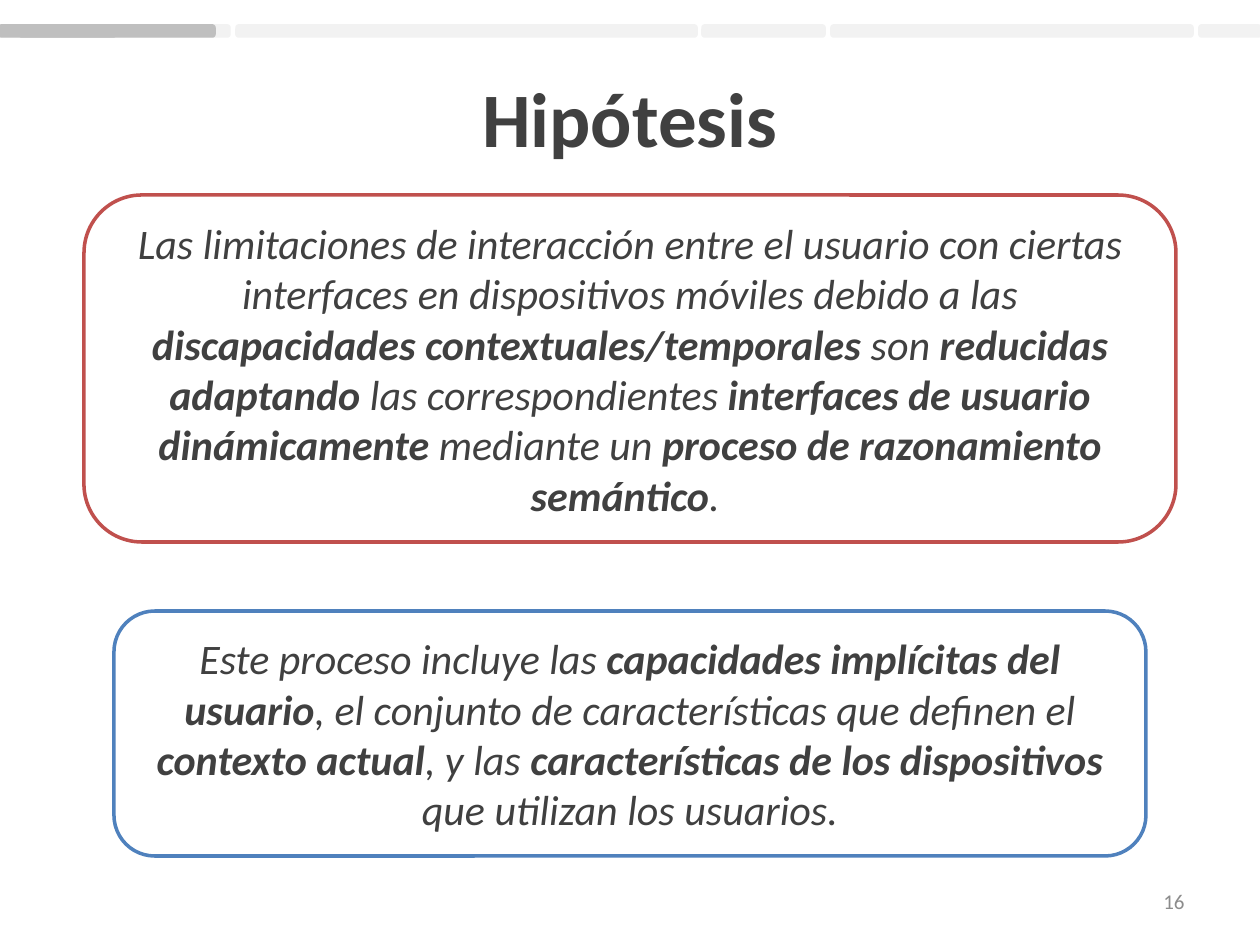
import dataclasses

import pptx
import pptx.dml.color
import pptx.enum.shapes
import pptx.enum.text
import pptx.util

RGB = pptx.dml.color.RGBColor.from_string
ALIGN = pptx.enum.text.PP_ALIGN
MIDDLE = pptx.enum.text.MSO_ANCHOR.MIDDLE
ROUND = pptx.enum.shapes.MSO_SHAPE.ROUNDED_RECTANGLE
SCALE = 914400 / 126


@dataclasses.dataclass(frozen=True)
class Theme:
    face: str = "Calibri"
    ink: str = "404040"
    mute: str = "8C8C8C"
    track: str = "F2F2F2"
    done: str = "BFBFBF"
    red: str = "C0504D"
    blue: str = "4F81BD"
    head: int = 44
    body: int = 24
    small: int = 12
    edge: int = 2


theme = Theme()


def write(shape, text, size, color, align, italic=None, bold=None):
    """Fill the shape with one paragraph; parts between asterisks are bold."""
    frame = shape.text_frame
    frame.word_wrap = True
    frame.vertical_anchor = MIDDLE
    para = frame.paragraphs[0]
    para.alignment = align
    font = para.font
    font.name, font.size = theme.face, pptx.util.Pt(size)
    font.color.rgb = RGB(color)
    font.italic, font.bold = italic, bold
    for i, part in enumerate(text.split("*")):
        run = para.add_run()
        run.text = part
        if i % 2:
            run.font.bold = True


def panel(box, line, fill=None):
    shape = slide.shapes.add_shape(ROUND, *(round(n * SCALE) for n in box))
    shape.shadow.inherit = False
    shape.line.color.rgb = RGB(line)
    shape.line.width = pptx.util.Pt(theme.edge)
    if fill:
        shape.fill.solid()
        shape.fill.fore_color.rgb = RGB(fill)
    else:
        shape.fill.background()
    return shape


deck = pptx.Presentation()
deck.slide_width, deck.slide_height = round(1260 * SCALE), round(945 * SCALE)
slide = deck.slides.add_slide(deck.slide_layouts[5])

# Progress bar: the track, then the part already covered
bars = [(0, 229, theme.track), (237, 459, theme.track), (703, 121, theme.track),
        (832, 360, theme.track), (1200, 60, theme.track),
        (0, 115, theme.done), (20, 194, theme.done)]
for left, width, color in bars:
    panel((left, 26, width, 10), color, color)

title = slide.shapes.title
title.left, title.top = round(63 * SCALE), round(38 * SCALE)
title.width, title.height = round(1134 * SCALE), round(157 * SCALE)
write(title, "Hipótesis", theme.head, theme.ink, ALIGN.CENTER, bold=True)

claims = [
    ((84, 195, 1092, 347), theme.red,
     "Las limitaciones de interacción entre el usuario con ciertas interfaces "
     "en dispositivos móviles debido a las *discapacidades "
     "contextuales/temporales *son *reducidas adaptando* las correspondientes "
     "*interfaces de usuario dinámicamente *mediante un *proceso de "
     "razonamiento semántico*. "),
    ((114, 611, 1032, 245), theme.blue,
     "Este proceso incluye las *capacidades implícitas del usuario*, el "
     "conjunto de características que definen el *contexto actual*, y las "
     "*características de los dispositivos *que utilizan los usuarios."),
]
for box, color, text in claims:
    write(panel(box, color), text, theme.body, theme.ink, ALIGN.CENTER, italic=True)

page = slide.shapes.add_textbox(*(round(n * SCALE) for n in (903, 876, 294, 50)))
write(page, "16", theme.small, theme.mute, ALIGN.RIGHT)

deck.save("out.pptx")
